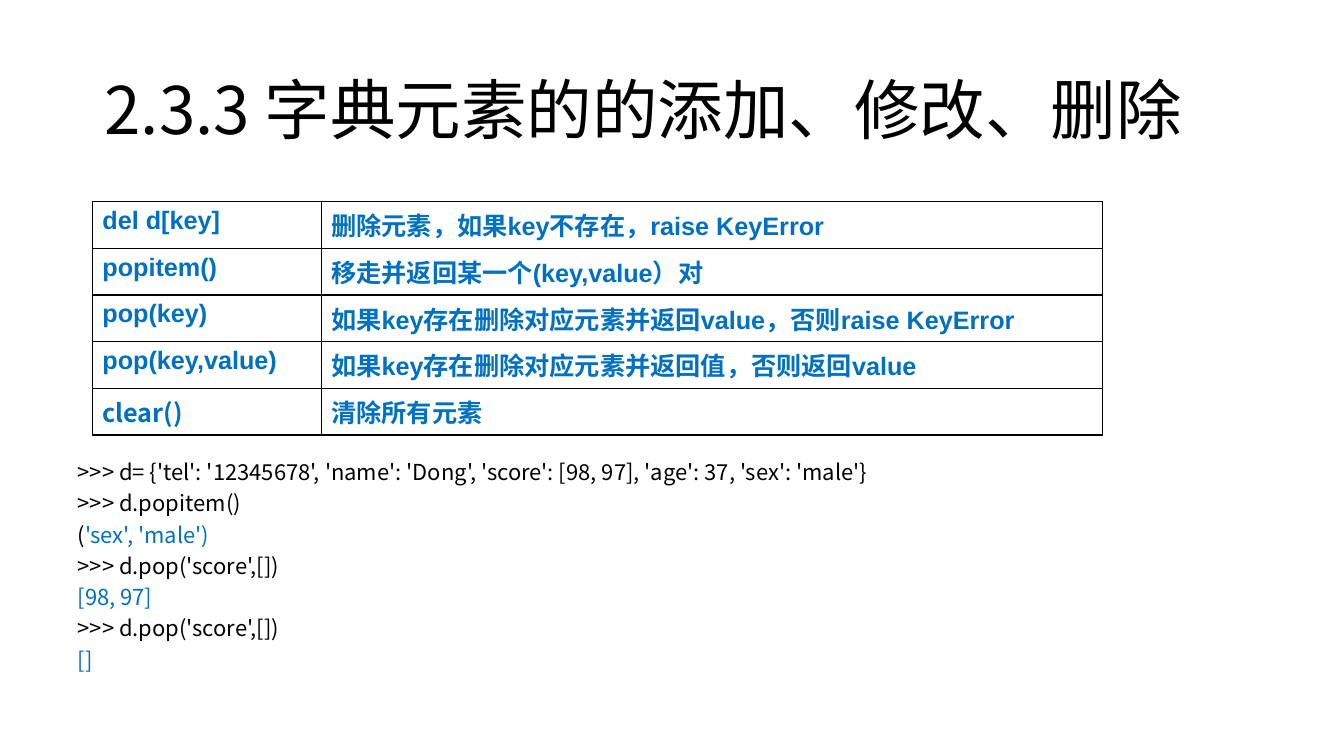
"""Build the slide on adding, changing and deleting dictionary elements."""
import pptx
import pptx.dml.color
import pptx.enum.text
import pptx.oxml
import pptx.oxml.ns
import pptx.util

Pt = pptx.util.Pt
ENUM = pptx.enum.text
SANS = "Noto Sans CJK SC"
BLACK, BLUE = "000000", "0070C0"
INSET = dict(margin_left=Pt(8.64), margin_right=Pt(8.64),
             margin_top=Pt(4.32), margin_bottom=Pt(4.32))

CALLS = [
    ("del d[key] ", "删除元素，如果key不存在，raise KeyError"),
    ("popitem()", "移走并返回某一个(key,value）对"),
    ("pop(key)", "如果key存在删除对应元素并返回value，否则raise KeyError"),
    ("pop(key,value)", "如果key存在删除对应元素并返回值，否则返回value"),
    ("clear()", "清除所有元素"),
]
CODE = [
    [(">>> d= {'tel': '12345678', 'name': 'Dong', 'score': [98, 97], "
      "'age': 37, 'sex': 'male'}", BLACK)],
    [(">>> d.popitem()", BLACK)],
    [("(", BLACK), ("'sex', 'male')", BLUE)],
    [(">>> d.pop('score',[]) ", BLACK)],
    [("[98, 97]", BLUE)],
    [(">>> d.pop('score',[])", BLACK)],
    [("[]", BLUE)],
]


def apply(item, values):
    """Set each named attribute on the item."""
    for name, value in values.items():
        setattr(item, name, value)


def color(code):
    """Turn a hex string into a colour."""
    return pptx.dml.color.RGBColor.from_string(code)


def node(text):
    """Parse an XML element of the drawing namespace."""
    space = pptx.oxml.ns.nsdecls("a")
    return pptx.oxml.parse_xml(text.replace(" ", f" {space} ", 1))


def write(para, text, size, code, face=SANS, bold=False):
    """Add a styled run with its Latin and East Asian fonts."""
    run = para.add_run()
    run.text = text
    apply(run.font, dict(size=Pt(size), name=face, bold=bold))
    run.font.color.rgb = color(code)
    run._r.get_or_add_rPr().append(node(f'<a:ea typeface="{SANS}"/>'))


def place(shape, box):
    """Move a placeholder to its box and set its text frame."""
    apply(shape, dict(zip(("left", "top", "width", "height"), map(Pt, box))))
    apply(shape.text_frame, dict(INSET, word_wrap=True,
                                 auto_size=ENUM.MSO_AUTO_SIZE.NONE))
    return shape.text_frame


def title(slide, box):
    """Fill the title."""
    frame = place(slide.shapes.title, box)
    frame.vertical_anchor = ENUM.MSO_ANCHOR.MIDDLE
    para = frame.paragraphs[0]
    apply(para, dict(alignment=ENUM.PP_ALIGN.LEFT, line_spacing=0.9))
    write(para, "2.3.3 字典元素的的添加、修改、删除", 46.8, BLACK)


def frame_cell(cell):
    """Clear the fill of a cell and draw its four borders."""
    cell.fill.background()
    props = cell._tc.get_or_add_tcPr()
    for spot, side in enumerate("LRTB"):
        props.insert(spot, node(
            f'<a:ln{side} w="{Pt(1)}"><a:solidFill><a:srgbClr val="{BLACK}"/>'
            f'</a:solidFill></a:ln{side}>'))


def calls(slide, box, first):
    """Draw the table of calls, with a first column of given width."""
    left, top, width, height = box
    grid = slide.shapes.add_table(
        len(CALLS), 2, Pt(left), Pt(top), Pt(width), Pt(height)).table
    apply(grid, dict(first_row=False, horz_banding=False))
    for col, size in zip(grid.columns, (first, width - first)):
        col.width = Pt(size)
    for row, texts in enumerate(CALLS):
        grid.rows[row].height = Pt(height / len(CALLS))
        for col, text in enumerate(texts):
            cell = grid.cell(row, col)
            frame_cell(cell)
            face = SANS if text == "clear()" else "Arial"
            write(cell.text_frame.paragraphs[0], text, 18, BLUE, face, True)


def code(slide, box):
    """Fill the body with the console session."""
    frame = place(slide.placeholders[1], box)
    frame.vertical_anchor = ENUM.MSO_ANCHOR.TOP
    for row, parts in enumerate(CODE):
        para = frame.add_paragraph() if row else frame.paragraphs[0]
        apply(para, dict(alignment=ENUM.PP_ALIGN.LEFT, line_spacing=0.7,
                         space_before=Pt(9.2), space_after=Pt(0)))
        props = para._p.get_or_add_pPr()
        apply(props, dict(marL=0, indent=0))
        props.append(node("<a:buNone />"))
        for text, tint in parts:
            write(para, text, 15.7, tint)


def main():
    """Build and save the deck."""
    deck = pptx.Presentation()
    apply(deck, dict(slide_width=Pt(960), slide_height=Pt(540)))
    slide = deck.slides.add_slide(deck.slide_layouts[1])
    title(slide, (66, 28.8, 828, 104.4))
    calls(slide, (66, 144, 721.4, 166.8), 163.4)
    code(slide, (46.8, 328.3, 784.8, 180))
    deck.save("out.pptx")


main()
